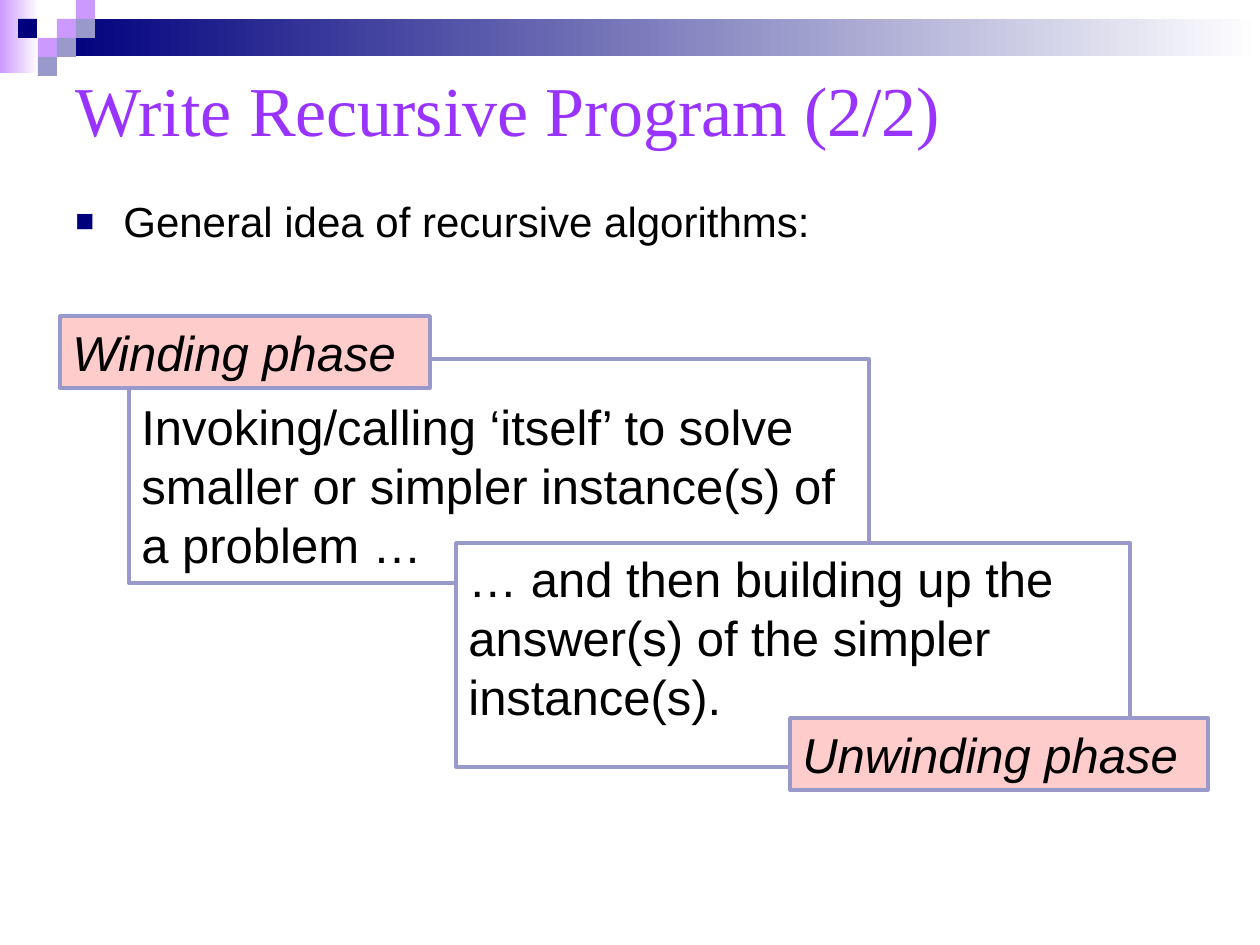
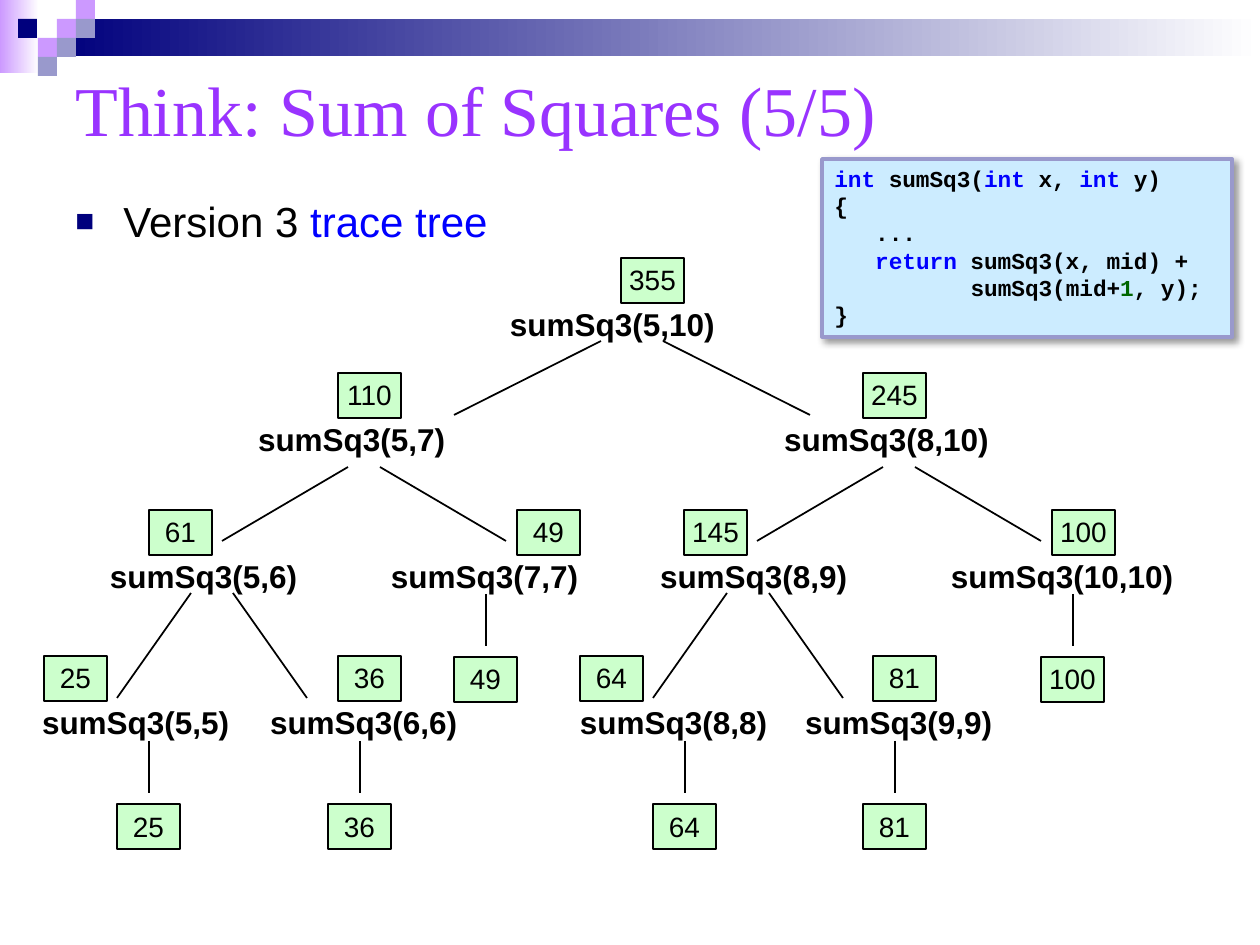
import pptx
import pptx.util
import pptx.dml.color
import pptx.enum.shapes
import pptx.enum.text
import pptx.oxml
import pptx.oxml.ns

RGB = pptx.dml.color.RGBColor
Pt = pptx.util.Pt
Align = pptx.enum.text.PP_ALIGN
Anchor = pptx.enum.text.MSO_ANCHOR
RECT = pptx.enum.shapes.MSO_SHAPE.RECTANGLE
STRAIGHT = pptx.enum.shapes.MSO_CONNECTOR.STRAIGHT
PX = 914400 / 126

BLACK = RGB(0x00, 0x00, 0x00)
WHITE = RGB(0xFF, 0xFF, 0xFF)
NAVY = RGB(0x00, 0x00, 0x7D)
LILAC = RGB(0xCC, 0x99, 0xFF)
SLATE = RGB(0x99, 0x99, 0xCC)
VIOLET = RGB(0x99, 0x33, 0xFF)
BLUE = RGB(0x00, 0x00, 0xFF)
GREEN = RGB(0x00, 0x66, 0x00)
PINK = RGB(0xFF, 0xCC, 0xCC)
MINT = RGB(0xCC, 0xFF, 0xCC)
SKY = RGB(0xCC, 0xEC, 0xFF)
NS = pptx.oxml.ns.nsdecls("a")


def box(slide, area, fill=None, edge=None, width=1):
    place = [round(n * PX) for n in area]
    if fill is None:
        return slide.shapes.add_textbox(*place)
    shape = slide.shapes.add_shape(RECT, *place)
    shape.shadow.inherit = False
    if isinstance(fill, list):
        shape.fill.gradient()
        shape.fill.gradient_angle = 0
        for stop, color in zip(shape.fill.gradient_stops, fill):
            stop.color.rgb = color
    else:
        shape.fill.solid()
        shape.fill.fore_color.rgb = fill
    if edge is None:
        shape.line.fill.background()
    else:
        shape.line.color.rgb = edge
        shape.line.width = Pt(width)
    return shape


def write(shape, lines, size, face="Arial", bold=False, italic=False,
          align=Align.LEFT, anchor=Anchor.TOP, inset=None):
    frame = shape.text_frame
    frame.word_wrap = True
    frame.vertical_anchor = anchor
    if inset is not None:
        frame.margin_left = frame.margin_right = round(inset * PX)
        frame.margin_top = frame.margin_bottom = round(inset * PX)
    for i, line in enumerate(lines):
        para = frame.add_paragraph() if i else frame.paragraphs[0]
        para.alignment = align
        for text, color in line:
            run = para.add_run()
            run.text = text
            run.font.name = face
            run.font.size = Pt(size)
            run.font.bold = bold
            run.font.italic = italic
            run.font.color.rgb = color
    return frame


deck = pptx.Presentation()
deck.slide_width = round(1260 * PX)
deck.slide_height = round(945 * PX)

bands = [
    (0, 0, 39, 73, [LILAC, WHITE]),
    (57, 19, 1203, 37, [NAVY, WHITE]),
]
tiles = [(57, 19, LILAC), (76, 0, LILAC), (76, 19, SLATE), (38, 38, LILAC),
         (18, 19, NAVY), (57, 38, SLATE), (38, 57, SLATE)]
heads = [
    ("Write Recursive Program (2/2)",
     [("General idea of recursive algorithms:", BLACK)]),
    ("Think: Sum of Squares (5/5)",
     [("Version 3 ", BLACK), ("trace tree", BLUE)]),
]
slides = []
for title, point in heads:
    slide = deck.slides.add_slide(deck.slide_layouts[6])
    slides.append(slide)
    for *area, fade in bands:
        box(slide, area, fade)
    for x, y, color in tiles:
        box(slide, (x, y, 19, 19), color)
    write(box(slide, (63, 53, 1134, 111)), [[(title, VIOLET)]], 40,
          "Times New Roman", anchor=Anchor.MIDDLE)
    body = write(box(slide, (63, 189, 1134, 63)), [point], 24)
    props = body.paragraphs[0]._p.get_or_add_pPr()
    props.set("marL", str(round(48 * PX)))
    props.set("indent", str(round(-48 * PX)))
    for mark in (f'<a:buClr {NS}><a:srgbClr val="{NAVY}"/></a:buClr>',
                 f'<a:buSzPct {NS} val="75000"/>',
                 f'<a:buFont {NS} typeface="Arial"/>',
                 f'<a:buChar {NS} char="■"/>'):
        props.append(pptx.oxml.parse_xml(mark))

phase, trace = slides

notes = [
    ((129, 359, 740, 224), 38,
     "Invoking/calling ‘itself’ to solve smaller or simpler instance(s) of a problem …"),
    ((456, 543, 674, 224), 6,
     "… and then building up the answer(s) of the simpler instance(s)."),
]
for area, top, text in notes:
    frame = write(box(phase, area, WHITE, SLATE, 2), [[(text, BLACK)]], 28)
    frame.margin_top = round(top * PX)

tags = [((60, 316, 370, 72), "Winding phase"),
        ((790, 718, 418, 72), "Unwinding phase")]
for area, text in tags:
    write(box(phase, area, PINK, SLATE, 2), [[(text, BLACK)]], 28, italic=True)

calls = [
    (300, [(5, 10, 505, 305, 621)]),
    (415, [(5, 7, 253, 284, 338), (8, 10, 779, 284, 863)]),
    (552, [(5, 6, 105, 202, 149), (7, 7, 386, 204, 517),
           (8, 9, 655, 208, 684), (10, 10, 946, 239, 1052)]),
    (698, [(5, 5, 37, 207, 44), (6, 6, 265, 209, 338),
           (8, 8, 575, 204, 580), (9, 9, 800, 208, 873)]),
]
sums = []
for top, row in calls:
    for low, high, x, width, left in row:
        label = box(trace, (x, top, width, 48))
        write(label, [[(f"sumSq3({low},{high})", BLACK)]], 18, bold=True, inset=5)
        sums.append((left, top - 42, sum(n * n for n in range(low, high + 1))))

bases = [(454, 657, 49), (1041, 657, 100), (117, 804, 25),
         (328, 804, 36), (653, 804, 64), (863, 804, 81)]
for x, y, value in sums + bases:
    cell = box(trace, (x, y, 63, 45), MINT, BLACK)
    write(cell, [[(str(value), BLACK)]], 16, align=Align.CENTER, inset=5)

forks = [
    (341, 415, 31, 178, [632]),
    (467, 541, 16, 142, [364, 899]),
    (593, 698, 21, 95, [212, 748]),
]
links = [(x + 32, y - 63, x + 32, y - 11) for x, y, value in bases]
for top, end, gap, reach, mids in forks:
    for mid in mids:
        for side in (-1, 1):
            links.append((mid + side * gap, top, mid + side * reach, end))
for ends in links:
    link = trace.shapes.add_connector(STRAIGHT, *[round(n * PX) for n in ends])
    link.line.color.rgb = BLACK
    link.line.width = Pt(1)
    link._element.spPr.append(pptx.oxml.parse_xml(f"<a:effectLst {NS}/>"))

code = [
    [("int ", BLUE), ("sumSq3(", BLACK), ("int", BLUE), (" x, ", BLACK),
     ("int", BLUE), (" y)", BLACK)],
    [("{", BLACK)],
    [("   ...", BLACK)],
    [("   return", BLUE), (" sumSq3(x, mid) +", BLACK)],
    [("          sumSq3(mid+", BLACK), ("1", GREEN), (", y);", BLACK)],
    [("}", BLACK)],
]
panel = box(trace, (822, 159, 410, 178), SKY, SLATE, 2)
frame = write(panel, code, 13, "Courier New", bold=True)
for para in frame.paragraphs:
    para.line_spacing = Pt(15.5)
glow = panel._element.spPr.find(pptx.oxml.ns.qn("a:effectLst"))
glow.append(pptx.oxml.parse_xml(
    f'<a:outerShdw {NS} blurRad="{Pt(4)}" dist="{Pt(3)}" dir="2700000" algn="tl" '
    'rotWithShape="0"><a:srgbClr val="000000"><a:alpha val="40000"/>'
    '</a:srgbClr></a:outerShdw>'))

deck.save("out.pptx")
